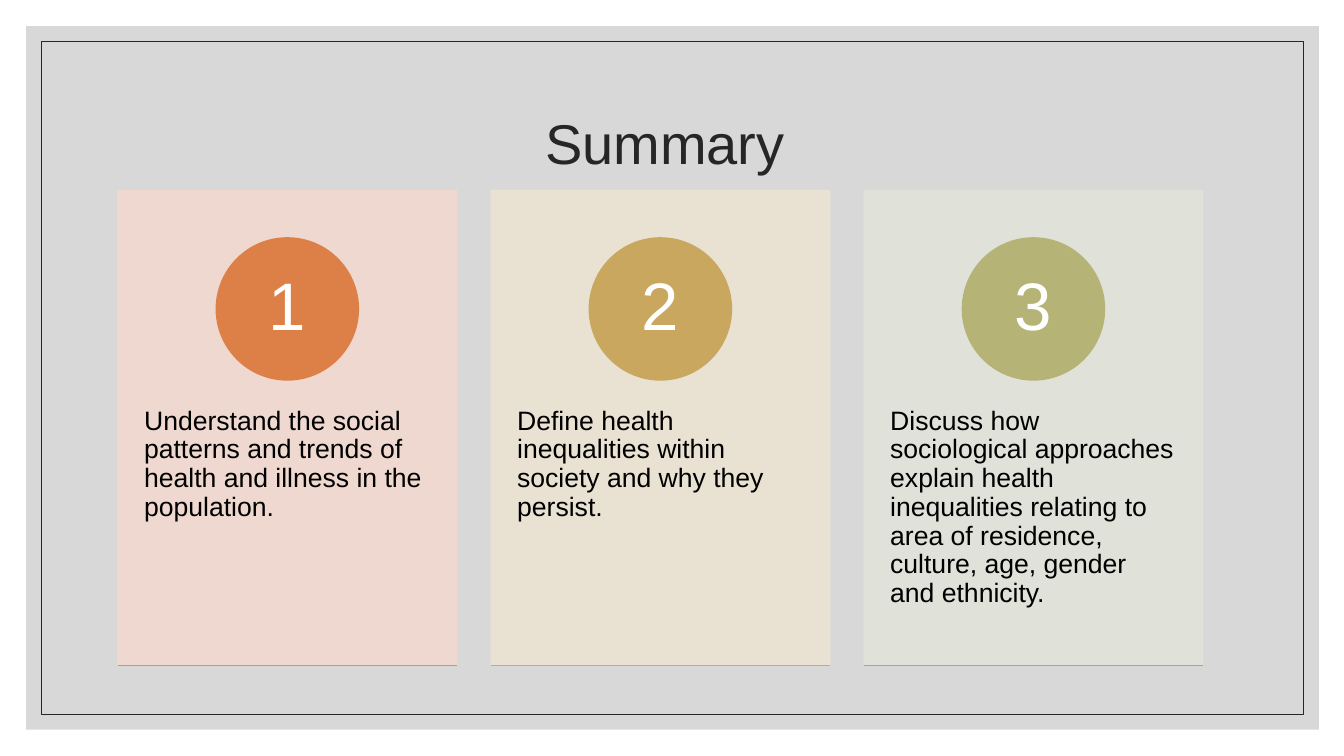
from pptx import Presentation
from pptx.dml.color import RGBColor
from pptx.enum.shapes import MSO_CONNECTOR, MSO_SHAPE
from pptx.enum.text import MSO_ANCHOR, PP_ALIGN
from pptx.oxml.ns import qn
from pptx.util import Inches, Pt
from lxml import etree

RECTANGLE, OVAL = MSO_SHAPE.RECTANGLE, MSO_SHAPE.OVAL
STRAIGHT = MSO_CONNECTOR.STRAIGHT
TOP, MIDDLE = MSO_ANCHOR.TOP, MSO_ANCHOR.MIDDLE
LEFT, CENTER = PP_ALIGN.LEFT, PP_ALIGN.CENTER

GREY = RGBColor(0xBF, 0xBF, 0xBF)
CHARCOAL = RGBColor(0x26, 0x26, 0x26)
BLACK = RGBColor(0x00, 0x00, 0x00)
WHITE = RGBColor(0xFF, 0xFF, 0xFF)
PINK = RGBColor(0xF2, 0xD8, 0xCF)
ORANGE = RGBColor(0xDD, 0x80, 0x47)
AMBER = RGBColor(0xD3, 0x97, 0x53)
CREAM = RGBColor(0xEB, 0xE4, 0xD3)
GOLD = RGBColor(0xC9, 0xA7, 0x5F)
MUSTARD = RGBColor(0xBF, 0xB1, 0x6A)
PALE_GREEN = RGBColor(0xE1, 0xE2, 0xD8)
OLIVE = RGBColor(0xB5, 0xB4, 0x76)
SAGE = RGBColor(0xA5, 0xAB, 0x81)

# Outcome, card colour, circle colour, rule colour
OUTCOMES = [
    ("Understand the social patterns and trends of health and illness in the "
     "population.", PINK, ORANGE, AMBER),
    ("Define health inequalities within society and why they persist.",
     CREAM, GOLD, MUSTARD),
    ("Discuss how sociological approaches explain health inequalities relating "
     "to area of residence, culture, age, gender and ethnicity.",
     PALE_GREEN, OLIVE, SAGE),
]
CARD_WIDTH, CARD_HEIGHT, CARD_GAP = 3.36, 4.71, 0.34
CIRCLE_SIZE = 1.41


def add_panel(slide, kind, box, fill=None, line=None, width=1, opacity=100):
    """Add a flat shape; opacity is a percentage for both fill and line."""
    panel = slide.shapes.add_shape(kind, *map(Inches, box))
    panel.shadow.inherit = False
    for paint, color in ((panel.fill, fill), (panel.line.fill, line)):
        if color is None:
            paint.background()
        else:
            paint.solid()
            paint.fore_color.rgb = color
    if line is not None:
        panel.line.width = Pt(width)
    if opacity < 100:
        for color in panel._element.spPr.iter(qn("a:srgbClr")):
            etree.SubElement(color, qn("a:alpha"), val=str(opacity * 1000))
    return panel


def write(frame, text, size, color, align, anchor, insets):
    """Fill a text frame; insets are horizontal and vertical inches."""
    side, end = map(Inches, insets)
    layout = {"word_wrap": True, "vertical_anchor": anchor,
              "margin_left": side, "margin_right": side,
              "margin_top": end, "margin_bottom": end}
    for key, value in layout.items():
        setattr(frame, key, value)
    frame.text = text
    paragraph = frame.paragraphs[0]
    paragraph.alignment = align
    paragraph.line_spacing = 0.9
    font = paragraph.runs[0].font
    for key, value in {"name": "Arial", "size": Pt(size)}.items():
        setattr(font, key, value)
    font.color.rgb = color


def add_backdrop(slide, box):
    left, top, width, height = box
    inset = 0.15
    add_panel(slide, RECTANGLE, box, fill=GREY, opacity=60)
    add_panel(slide, RECTANGLE,
              (left + inset, top + inset, width - 2 * inset, height - 2 * inset),
              line=CHARCOAL, width=0.5)


def place_title(slide, text, box):
    """Format the title and bring it in front of the backdrop."""
    title = slide.shapes.title
    title.left, title.top, title.width, title.height = map(Inches, box)
    write(title.text_frame, text, 40, CHARCOAL, CENTER, MIDDLE, (0.1, 0.05))
    slide.shapes._spTree.append(title._element)


def add_rule(slide, left, top, width, color):
    rule = slide.shapes.add_connector(
        STRAIGHT, *map(Inches, (left, top, left + width, top)))
    rule.line.color.rgb = color
    rule.line.width = Pt(1)
    etree.SubElement(rule._element.spPr, qn("a:effectLst"))


def add_card(slide, box, number, outcome, card_color, circle_color, rule_color):
    left, top, width, height = box
    add_panel(slide, RECTANGLE, box, card_color, card_color, opacity=90)
    body = slide.shapes.add_textbox(
        *map(Inches, (left, top + 1.79, width, 2.82)))
    write(body.text_frame, outcome, 19, BLACK, LEFT, TOP, (0.26, 0.36))
    circle = add_panel(
        slide, OVAL,
        (left + (width - CIRCLE_SIZE) / 2, top + 0.47, CIRCLE_SIZE, CIRCLE_SIZE),
        circle_color, circle_color)
    write(circle.text_frame, str(number), 48, WHITE, CENTER, MIDDLE, (0.11, 0.01))
    add_rule(slide, left, top + height, width, rule_color)


def main():
    deck = Presentation()
    deck.slide_width, deck.slide_height = Inches(13.33), Inches(7.5)
    slide = deck.slides.add_slide(deck.slide_layouts[5])
    add_backdrop(slide, (0.26, 0.26, 12.82, 6.98))
    # The trailing space keeps the centred title slightly left.
    place_title(slide, "Summary ", (1.17, 0.7, 11, 1.5))
    for index, outcome in enumerate(OUTCOMES):
        left = 1.17 + index * (CARD_WIDTH + CARD_GAP)
        add_card(slide, (left, 1.89, CARD_WIDTH, CARD_HEIGHT),
                 index + 1, *outcome)
    deck.save("out.pptx")


if __name__ == "__main__":
    main()
